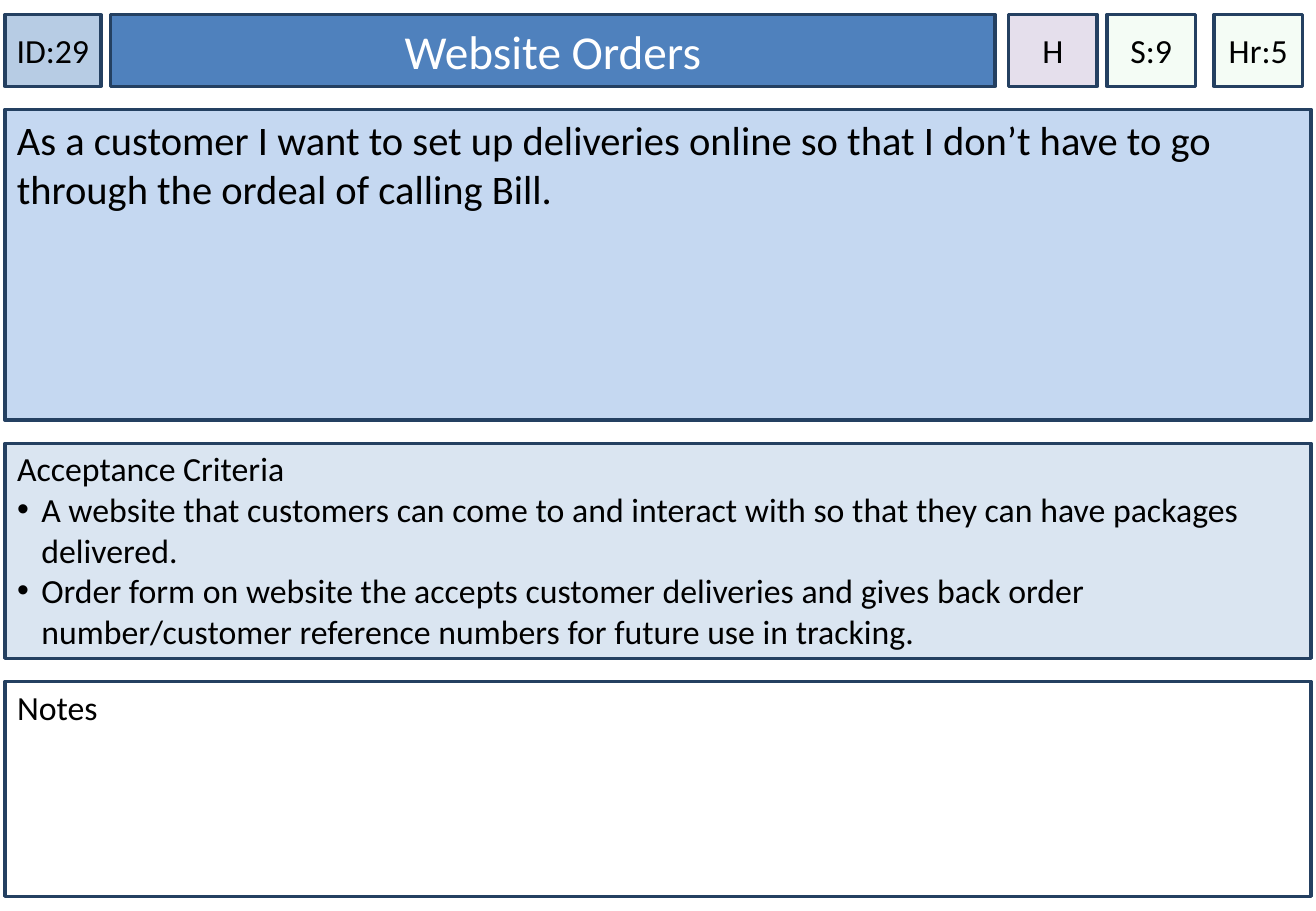
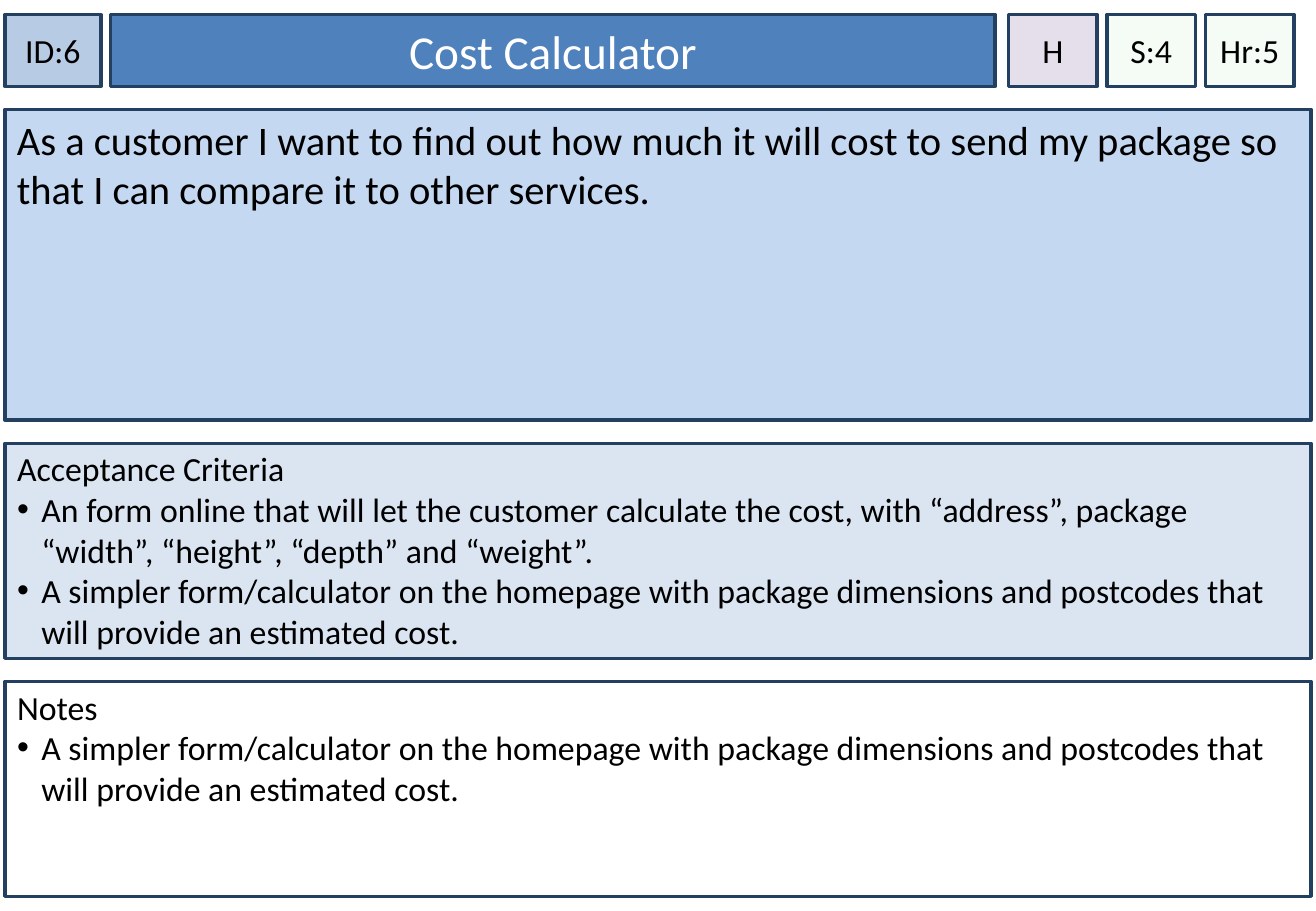
from dataclasses import dataclass

import lxml.etree
import pptx
import pptx.dml.color
import pptx.enum.shapes
import pptx.enum.text
import pptx.oxml.ns
import pptx.shapes.autoshape
import pptx.slide
import pptx.text.text
import pptx.util

Inches = pptx.util.Inches
RGBColor = pptx.dml.color.RGBColor
Shape = pptx.shapes.autoshape.Shape
ALIGN = pptx.enum.text.PP_ALIGN
ANCHOR = pptx.enum.text.MSO_ANCHOR

# Shared look
FONT = "Calibri"
BLACK = RGBColor(0x00, 0x00, 0x00)
WHITE = RGBColor(0xFF, 0xFF, 0xFF)
NAVY = RGBColor(0x24, 0x40, 0x61)
TITLE_BLUE = RGBColor(0x4F, 0x81, 0xBD)
ID_BLUE = RGBColor(0xB7, 0xCC, 0xE4)
STORY_BLUE = RGBColor(0xC5, 0xD8, 0xF1)
CRITERIA_BLUE = RGBColor(0xDA, 0xE5, 0xF1)
PRIORITY_LILAC = RGBColor(0xE5, 0xDF, 0xEC)
ESTIMATE_GREEN = RGBColor(0xCC, 0xF0, 0xCD)
ESTIMATE_OPACITY = 20

# Shared layout, in inches
LEFT, PANEL_WIDTH = 0.04, 10.75
HEADER_TOP, HEADER_HEIGHT = 0.12, 0.59
STORY_TOP, STORY_HEIGHT = 0.9, 2.56
LIST_HEIGHT, PANEL_GAP = 1.77, 0.19
CRITERIA_TOP = STORY_TOP + STORY_HEIGHT + PANEL_GAP
NOTES_TOP = CRITERIA_TOP + LIST_HEIGHT + PANEL_GAP
BADGE_LEFT, BADGE_WIDTH, BADGE_STEP = 8.3, 0.73, 0.81
BULLET_INDENT = 0.2
TWO_CONTENT_LAYOUT = 3


@dataclass(frozen=True)
class BoxStyle:
    fill: RGBColor
    size: int = 20
    color: RGBColor = BLACK
    align: ALIGN = ALIGN.LEFT
    anchor: ANCHOR = ANCHOR.TOP
    side_inset: float = 0.1
    top_inset: float = 0.05
    opacity: int = 100


def badge_style(fill: RGBColor, opacity: int = 100) -> BoxStyle:
    return BoxStyle(fill, align=ALIGN.CENTER, anchor=ANCHOR.MIDDLE,
                    side_inset=0, opacity=opacity)


TITLE = BoxStyle(TITLE_BLUE, 28, WHITE, ALIGN.CENTER, ANCHOR.MIDDLE)
STORY = BoxStyle(STORY_BLUE, 24)
CRITERIA = BoxStyle(CRITERIA_BLUE, top_inset=0.04)
NOTES = BoxStyle(WHITE, top_inset=0.04)
STORY_ID = badge_style(ID_BLUE)
PRIORITY = badge_style(PRIORITY_LILAC)
ESTIMATE = badge_style(ESTIMATE_GREEN, ESTIMATE_OPACITY)


@dataclass(frozen=True)
class StoryCard:
    story_id: str
    title: str
    story: str
    criteria: tuple[str, ...]
    notes: tuple[str, ...]
    priority: str
    points: str
    hours: str
    hours_shift: float = 0


CARDS = (
    StoryCard(
        "ID:29", "Website Orders",
        "As a customer I want to set up deliveries online so that I don’t "
        "have to go through the ordeal of calling Bill.",
        ("A website that customers can come to and interact with so that "
         "they can have packages delivered.",
         "Order form on website the accepts customer deliveries and gives "
         "back order number/customer reference numbers for future use in "
         "tracking."),
        (), "H", "S:9", "Hr:5", hours_shift=0.07),
    StoryCard(
        "ID:6", "Cost Calculator",
        "As a customer I want to find out how much it will cost to send my "
        "package so that I can compare it to other services.",
        ("An form online that will let the customer calculate the cost, with "
         "“address”, package “width”, “height”, “depth” and “weight”.",
         "A simpler form/calculator on the homepage with package dimensions "
         "and postcodes that will provide an estimated cost."),
        ("A simpler form/calculator on the homepage with package dimensions "
         "and postcodes that will provide an estimated cost.",),
        "H", "S:4", "Hr:5"),
)


def place(box: Shape, left: float, top: float, width: float,
          height: float) -> None:
    box.left, box.top = Inches(left), Inches(top)
    box.width, box.height = Inches(width), Inches(height)


def set_opacity(box: Shape, percent: int) -> None:
    color = box._element.xpath("./p:spPr/a:solidFill/a:srgbClr")[0]
    alpha = lxml.etree.SubElement(color, pptx.oxml.ns.qn("a:alpha"))
    alpha.set("val", str(percent * 1000))


def format_box(box: Shape, style: BoxStyle) -> None:
    """Apply outline, fill and text format to a box that holds its text."""
    box.shadow.inherit = False
    box.fill.solid()
    box.fill.fore_color.rgb = style.fill
    if style.opacity < 100:
        set_opacity(box, style.opacity)
    box.line.color.rgb = NAVY
    box.line.width = pptx.util.Pt(2)

    frame = box.text_frame
    frame.word_wrap = True
    frame.auto_size = pptx.enum.text.MSO_AUTO_SIZE.NONE
    frame.vertical_anchor = style.anchor
    frame.margin_left = frame.margin_right = Inches(style.side_inset)
    frame.margin_top, frame.margin_bottom = Inches(style.top_inset), Inches(0.05)
    for paragraph in frame.paragraphs:
        paragraph.alignment = style.align
        paragraph.space_before = pptx.util.Pt(0)
        for run in paragraph.runs:
            run.font.name = FONT
            run.font.size = pptx.util.Pt(style.size)
            run.font.color.rgb = style.color


def set_bullet(paragraph: pptx.text.text._Paragraph, bulleted: bool) -> None:
    properties = paragraph._p.get_or_add_pPr()
    indent = Inches(BULLET_INDENT) if bulleted else 0
    properties.set("marL", str(indent))
    properties.set("indent", str(-indent))
    kind = "a:buChar" if bulleted else "a:buNone"
    bullet = lxml.etree.SubElement(properties, pptx.oxml.ns.qn(kind))
    if bulleted:
        bullet.set("char", "•")


def add_box(slide: pptx.slide.Slide, text: str, style: BoxStyle, left: float,
            top: float, width: float, height: float) -> None:
    box = slide.shapes.add_shape(
        pptx.enum.shapes.MSO_SHAPE.RECTANGLE, Inches(left), Inches(top),
        Inches(width), Inches(height))
    box.text_frame.text = text
    format_box(box, style)


def fill_list(panel: Shape, heading: str, items: tuple[str, ...],
              style: BoxStyle, top: float) -> None:
    place(panel, LEFT, top, PANEL_WIDTH, LIST_HEIGHT)
    panel.text_frame.text = "\n".join((heading, *items))
    format_box(panel, style)
    for position, paragraph in enumerate(panel.text_frame.paragraphs):
        set_bullet(paragraph, bulleted=position > 0)


def add_card(deck: pptx.presentation.Presentation, card: StoryCard) -> None:
    slide = deck.slides.add_slide(deck.slide_layouts[TWO_CONTENT_LAYOUT])
    title, criteria, notes = slide.placeholders

    # Header row
    add_box(slide, card.story_id, STORY_ID, LEFT, HEADER_TOP, 0.79,
            HEADER_HEIGHT)
    place(title, 0.91, HEADER_TOP, 7.28, HEADER_HEIGHT)
    title.text_frame.text = card.title
    format_box(title, TITLE)
    badges = ((card.priority, PRIORITY, 0), (card.points, ESTIMATE, 0),
              (card.hours, ESTIMATE, card.hours_shift))
    for column, (label, style, shift) in enumerate(badges):
        add_box(slide, label, style, BADGE_LEFT + column * BADGE_STEP + shift,
                HEADER_TOP, BADGE_WIDTH, HEADER_HEIGHT)

    # Story, criteria and notes panels
    add_box(slide, card.story, STORY, LEFT, STORY_TOP, PANEL_WIDTH,
            STORY_HEIGHT)
    fill_list(criteria, "Acceptance Criteria", card.criteria, CRITERIA,
              CRITERIA_TOP)
    fill_list(notes, "Notes", card.notes, NOTES, NOTES_TOP)


def main() -> None:
    deck = pptx.Presentation()
    deck.slide_width, deck.slide_height = Inches(10.83), Inches(7.5)
    for card in CARDS:
        add_card(deck, card)
    # Date, footer and number placeholders are not copied to new slides
    deck.save("out.pptx")


if __name__ == "__main__":
    main()
